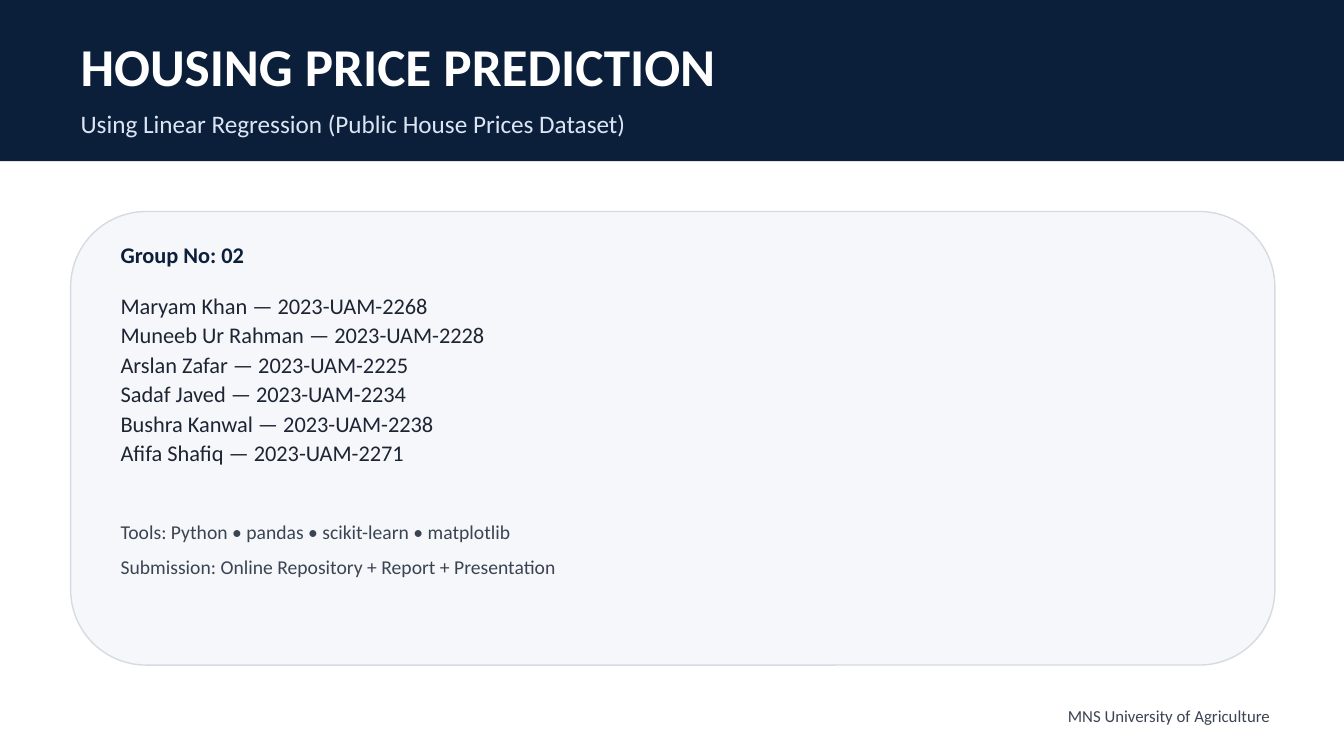
from pptx import Presentation
from pptx.enum import shapes, text
from pptx.util import Cm, Pt
from pptx.dml.color import RGBColor

COLORS = {
    "navy": "0B1F3B",
    "white": "FFFFFF",
    "subtitle": "DCE6F3",
    "card": "F5F7FA",
    "border": "D6DBE1",
    "body": "1D2433",
    "muted": "3B4452",
}
FONT = "Calibri"
WIDTH, HEIGHT = 33.87, 19.05
MARGIN = 1.78
TEXT_WIDTH = 30.48

MEMBERS = [
    "Maryam Khan — 2023-UAM-2268",
    "Muneeb Ur Rahman — 2023-UAM-2228",
    "Arslan Zafar — 2023-UAM-2225",
    "Sadaf Javed — 2023-UAM-2234",
    "Bushra Kanwal — 2023-UAM-2238",
    "Afifa Shafiq — 2023-UAM-2271",
]
DETAILS = [
    "Tools: Python • pandas • scikit-learn • matplotlib",
    "Submission: Online Repository + Report + Presentation",
]


def color(name):
    return RGBColor.from_string(COLORS[name])


def add_panel(slide, kind, box, fill, border=None):
    shape = slide.shapes.add_shape(kind, *map(Cm, box))
    shape.shadow.inherit = False
    shape.fill.solid()
    shape.fill.fore_color.rgb = color(fill)
    if border:
        shape.line.color.rgb = color(border)
        shape.line.width = Pt(1)
    else:
        shape.line.fill.background()


def add_text(slide, box, lines, size, ink, bold=False, align=None, spacing=None):
    frame = slide.shapes.add_textbox(*map(Cm, box)).text_frame
    frame.word_wrap = True
    frame.vertical_anchor = text.MSO_ANCHOR.MIDDLE
    frame.text = "\n".join(lines)
    for paragraph in frame.paragraphs:
        paragraph.alignment = align
        paragraph.line_spacing = spacing
        paragraph.font.name = FONT
        paragraph.font.size = Pt(size)
        paragraph.font.bold = bold
        paragraph.font.color.rgb = color(ink)


def add_header(slide, left, top, width, height):
    add_panel(slide, shapes.MSO_SHAPE.RECTANGLE, (left, top, width, height), "navy")
    text_left = left + MARGIN
    add_text(slide, (text_left, top + 0.89, TEXT_WIDTH, 1.52),
             ["HOUSING PRICE PREDICTION"], 38, "white", bold=True)
    add_text(slide, (text_left, top + 2.59, TEXT_WIDTH, 1.02),
             ["Using Linear Regression (Public House Prices Dataset)"], 18, "subtitle")


def add_group_card(slide, left, top, width, height):
    add_panel(slide, shapes.MSO_SHAPE.ROUNDED_RECTANGLE,
              (left, top, width, height), "card", "border")
    text_left, text_width = left + 1.01, 28.45
    line_height = 0.89

    # Group number and members
    add_text(slide, (text_left, top + 0.64, text_width, line_height),
             ["Group No: 02"], 16, "navy", bold=True)
    add_text(slide, (text_left, top + 1.65, text_width, 5.08),
             MEMBERS, 16, "body", spacing=1.1)

    # Tools and submission
    for index, detail in enumerate(DETAILS):
        detail_top = top + 7.62 + index * line_height
        add_text(slide, (text_left, detail_top, text_width, line_height),
                 [detail], 14, "muted")


def add_footer(slide, left, top, width, height):
    add_text(slide, (left, top, width, height), ["MNS University of Agriculture"],
             12, "muted", align=text.PP_ALIGN.RIGHT)


def main():
    presentation = Presentation()
    presentation.slide_width = Cm(WIDTH)
    presentation.slide_height = Cm(HEIGHT)
    slide = presentation.slides.add_slide(presentation.slide_layouts[6])
    slide.background.fill.solid()
    slide.background.fill.fore_color.rgb = color("white")

    add_header(slide, 0, 0, WIDTH, 4.06)
    add_group_card(slide, MARGIN, 5.33, 30.35, 11.43)
    add_footer(slide, MARGIN, 17.65, TEXT_WIDTH, 0.76)
    presentation.save("out.pptx")


if __name__ == "__main__":
    main()
